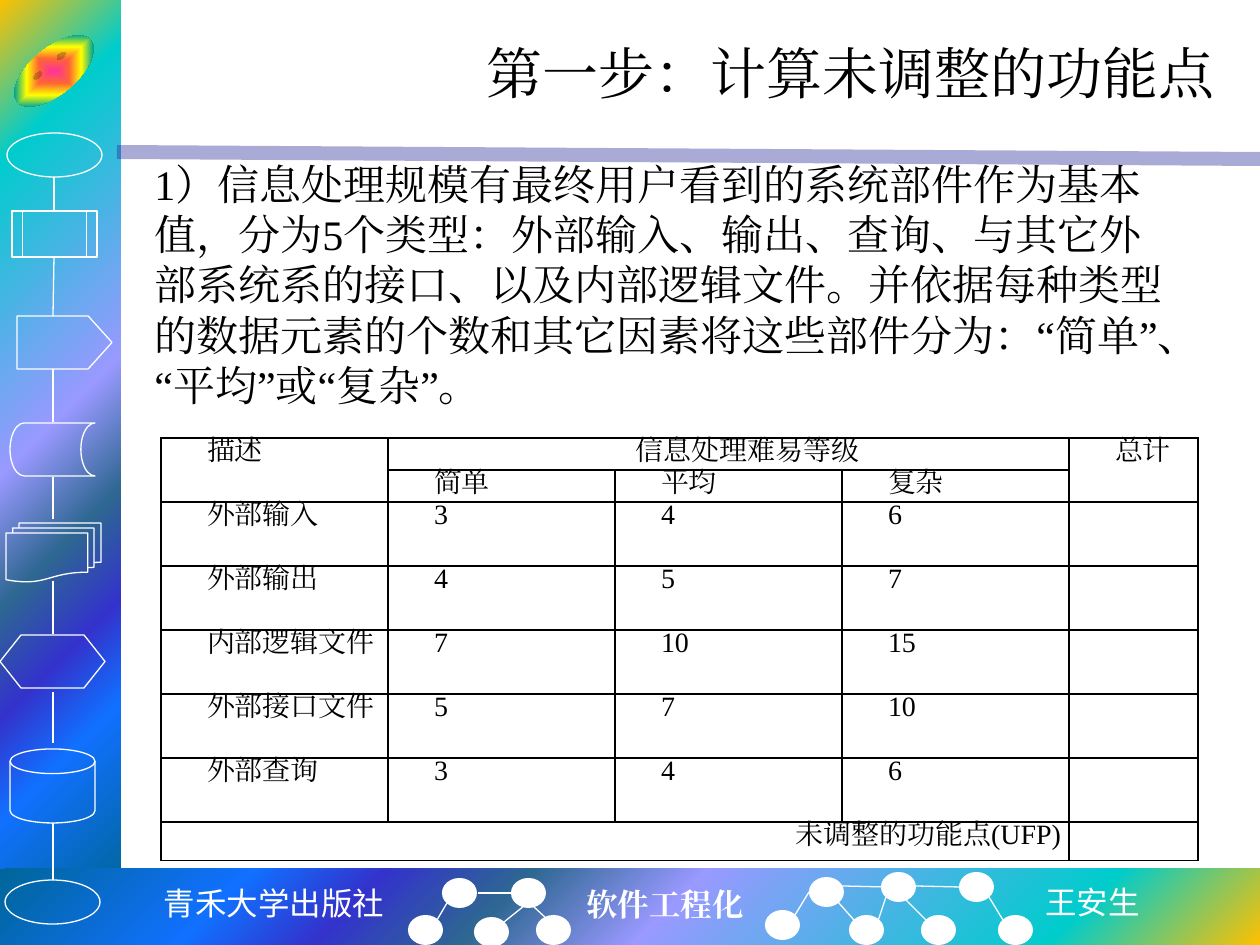
from lxml import etree
from pptx import Presentation
from pptx.dml.color import RGBColor
from pptx.enum.shapes import MSO_CONNECTOR, MSO_SHAPE as Shape
from pptx.enum.text import MSO_ANCHOR as Anchor, MSO_AUTO_SIZE as AutoSize, PP_ALIGN as Align
from pptx.oxml import parse_xml
from pptx.oxml.ns import nsdecls, qn
from pptx.util import Emu, Pt

WHITE, BLACK, INDIGO = "FFFFFF", "000000", "262699"
SERIF, MONO, SANS = "Times New Roman", "Noto Sans Mono", "Noto Sans CJK SC"
RAINBOW = [(0, "FFC000"), (16, "00CCCC"), (47, "9999FF"), (60, "2E6792"),
           (71, "3333CC"), (81, "1170FF"), (100, "006699")]
BADGE = [(0, "FF3399"), (25, "FF6633"), (50, "FFFF00"), (75, "01A78F"), (100, "3366FF")]


def px(n):
    return Emu(round(n * 914400 / 126))


def rgb(color):
    return RGBColor.from_string(color)


class SlideBuilder:
    def __init__(self, slide):
        self.slide = slide
        self.shapes = slide.shapes

    def shape(self, kind, box, fill=None, line=None):
        shape = self.shapes.add_shape(kind, *map(px, box))
        shape.shadow.inherit = False
        if fill:
            shape.fill.solid()
            shape.fill.fore_color.rgb = rgb(fill)
        else:
            shape.fill.background()
        if line:
            shape.line.color.rgb = rgb(line)
            shape.line.width = Pt(0.75)
        else:
            shape.line.fill.background()
        return shape

    def gradient(self, kind, box, stops, path, focus):
        """Fill a shape with stops running outward from focus (x, y in percent)."""
        shape = self.shape(kind, box)
        x, y = focus
        gs = "".join(f'<a:gs pos="{pos * 1000}"><a:srgbClr val="{color}"/></a:gs>'
                     for pos, color in stops)
        grad = parse_xml(
            f'<a:gradFill {nsdecls("a")} rotWithShape="1"><a:gsLst>{gs}</a:gsLst>'
            f'<a:path path="{path}"><a:fillToRect l="{x * 1000}" t="{y * 1000}" '
            f'r="{(100 - x) * 1000}" b="{(100 - y) * 1000}"/></a:path></a:gradFill>')
        props = shape._element.spPr
        props.replace(props.find(qn("a:noFill")), grad)
        return shape

    def line(self, x1, y1, x2, y2, color=WHITE, width=0.75, alpha=None):
        line = self.shapes.add_connector(MSO_CONNECTOR.STRAIGHT, *map(px, (x1, y1, x2, y2)))
        line.line.color.rgb = rgb(color)
        line.line.width = Pt(width)
        props = line._element.spPr
        if alpha:
            tint = next(props.iter(qn("a:srgbClr")))
            etree.SubElement(tint, qn("a:alpha")).set("val", str(alpha * 1000))
        etree.SubElement(props, qn("a:effectLst"))

    def style(self, paragraph, size, font, color=BLACK, align=Align.LEFT, bold=False):
        paragraph.alignment = align
        for run in paragraph.runs:
            run.font.size = Pt(size)
            run.font.name = font
            run.font.bold = bold
            run.font.color.rgb = rgb(color)
            etree.SubElement(run._r.get_or_add_rPr(), qn("a:ea")).set("typeface", font)

    def text(self, box, words, size, font, wrap=True, anchor=Anchor.TOP, **style):
        frame = self.shapes.add_textbox(*map(px, box)).text_frame
        frame.word_wrap = wrap
        frame.auto_size = AutoSize.NONE
        frame.vertical_anchor = anchor
        frame.text = words
        self.style(frame.paragraphs[0], size, font, **style)

    def cell(self, cell, words, align):
        cell.fill.background()
        cell.margin_left = cell.margin_right = px(8)
        cell.margin_top = cell.margin_bottom = 0
        cell.text_frame.text = words
        paragraph = cell.text_frame.paragraphs[0]
        paragraph.line_spacing = Pt(16.6)
        self.style(paragraph, 16, SERIF, align=align)
        paragraph._p.get_or_add_pPr().set("indent", str(px(38)))
        props = cell._tc.get_or_add_tcPr()
        for i, side in enumerate(("lnL", "lnR", "lnT", "lnB")):
            props.insert(i, parse_xml(
                f'<a:{side} {nsdecls("a")} w="12700"><a:solidFill>'
                f'<a:srgbClr val="{BLACK}"/></a:solidFill></a:{side}>'))

    def table(self, left, top, widths, heights, rows, merges, aligns):
        table = self.shapes.add_table(len(rows), len(widths), px(left), px(top),
                                      px(sum(widths)), px(sum(heights))).table
        table.first_row = table.horz_banding = False
        for column, width in zip(table.columns, widths):
            column.width = px(width)
        for row, height in zip(table.rows, heights):
            row.height = px(height)
        for r, row in enumerate(rows):
            for c, words in enumerate(row):
                self.cell(table.cell(r, c), words, aligns.get((r, c), Align.JUSTIFY))
        for start, end in merges:
            table.cell(*start).merge(table.cell(*end))


def main():
    prs = Presentation()
    prs.slide_width, prs.slide_height = px(1260), px(945)
    page = SlideBuilder(prs.slides.add_slide(prs.slide_layouts[6]))

    # Side band, footer band and title rule
    page.gradient(Shape.RECTANGLE, (0, 0, 121, 893), RAINBOW, "circle", (0, 0))
    page.gradient(Shape.RECTANGLE, (0, 869, 1260, 76), RAINBOW, "circle", (100, 100))
    page.line(117, 152, 1260, 159, INDIGO, 8, alpha=39)

    # Flowchart down the side band
    flowchart = [
        (Shape.OVAL, (7, 133, 95, 44)),
        (Shape.FLOWCHART_PREDEFINED_PROCESS, (12, 211, 85, 46)),
        (Shape.PENTAGON, (17, 316, 95, 53)),
        (Shape.FLOWCHART_STORED_DATA, (10, 423, 85, 53)),
        (Shape.FLOWCHART_MULTIDOCUMENT, (6, 523, 95, 59)),
        (Shape.FLOWCHART_PREPARATION, (0, 635, 105, 53)),
        (Shape.FLOWCHART_MAGNETIC_DISK, (10, 749, 85, 74)),
        (Shape.OVAL, (5, 880, 95, 44)),
    ]
    for kind, box in flowchart:
        if kind == Shape.FLOWCHART_STORED_DATA:
            kind = Shape.FLOWCHART_STORED_DATA
        step = page.shape(kind, box, line=WHITE)
        if kind == Shape.PENTAGON:
            step.adjustments[0] = 0.45
    page.line(54, 177, 54, 211)
    page.line(54, 258, 53, 316)
    for top, bottom in [(369, 422), (477, 519), (581, 634), (692, 743), (823, 880)]:
        page.line(53, top, 53, bottom)

    # Tilted badge
    badge = page.gradient(Shape.SMILEY_FACE, (6, 48, 96, 46), BADGE, "shape", (50, 50))
    badge.adjustments[0] = 0.047
    badge.rotation = -40

    # Node trees in the footer
    nodes = [(442, 878), (511, 878), (408, 915), (474, 917), (536, 915),
             (809, 877), (881, 872), (959, 872), (765, 910), (849, 915), (921, 915), (998, 915)]
    for x, y in nodes:
        page.shape(Shape.OVAL, (x, y, 35, 30), fill=WHITE)
    links = [(437, 920, 447, 903), (504, 922, 524, 906), (512, 893, 478, 893),
             (547, 919, 534, 907), (854, 920, 838, 902), (926, 920, 901, 895),
             (1003, 920, 989, 897), (878, 921, 886, 897), (915, 886, 959, 887),
             (795, 915, 809, 892), (842, 886, 886, 887)]
    for link in links:
        page.line(*link)

    # Footer labels
    page.text((150, 878, 248, 50), "青禾大学出版社", 18, MONO, wrap=False,
              color=WHITE, align=Align.CENTER)
    page.text((574, 879, 184, 50), "软件工程化", 18, SERIF, wrap=False, color=WHITE, bold=True)
    page.text((1033, 877, 121, 50), "王安生", 18, SANS, wrap=False, color=WHITE)

    # Title and body
    page.text((157, 21, 1071, 102), "第一步：计算未调整的功能点", 32, SERIF,
              anchor=Anchor.MIDDLE, align=Align.RIGHT)
    page.text((142, 152, 1051, 267),
              "1）信息处理规模有最终用户看到的系统部件作为基本值，分为5个类型：外部输入、输出、"
              "查询、与其它外部系统系的接口、以及内部逻辑文件。并依据每种类型的数据元素的个数和"
              "其它因素将这些部件分为：“简单”、“平均”或“复杂”。", 24, SERIF)

    # Function point weights
    weights = [("外部输入", 3, 4, 6), ("外部输出", 4, 5, 7), ("内部逻辑文件", 7, 10, 15),
               ("外部接口文件", 5, 7, 10), ("外部查询", 3, 4, 6)]
    rows = [("描述", "信息处理难易等级", "", "", "总计"),
            ("", "简单", "平均", "复杂", ""),
            *[(*map(str, row), "") for row in weights],
            ("未调整的功能点(UFP)", "", "", "", "")]
    page.table(161, 438, [227] * 4 + [129], [32, 32] + [64] * 5 + [32], rows,
               merges=[((0, 0), (1, 0)), ((0, 1), (0, 3)), ((0, 4), (1, 4)), ((7, 0), (7, 3))],
               aligns={(0, 1): Align.CENTER, (7, 0): Align.RIGHT})

    prs.save("out.pptx")


if __name__ == "__main__":
    main()
